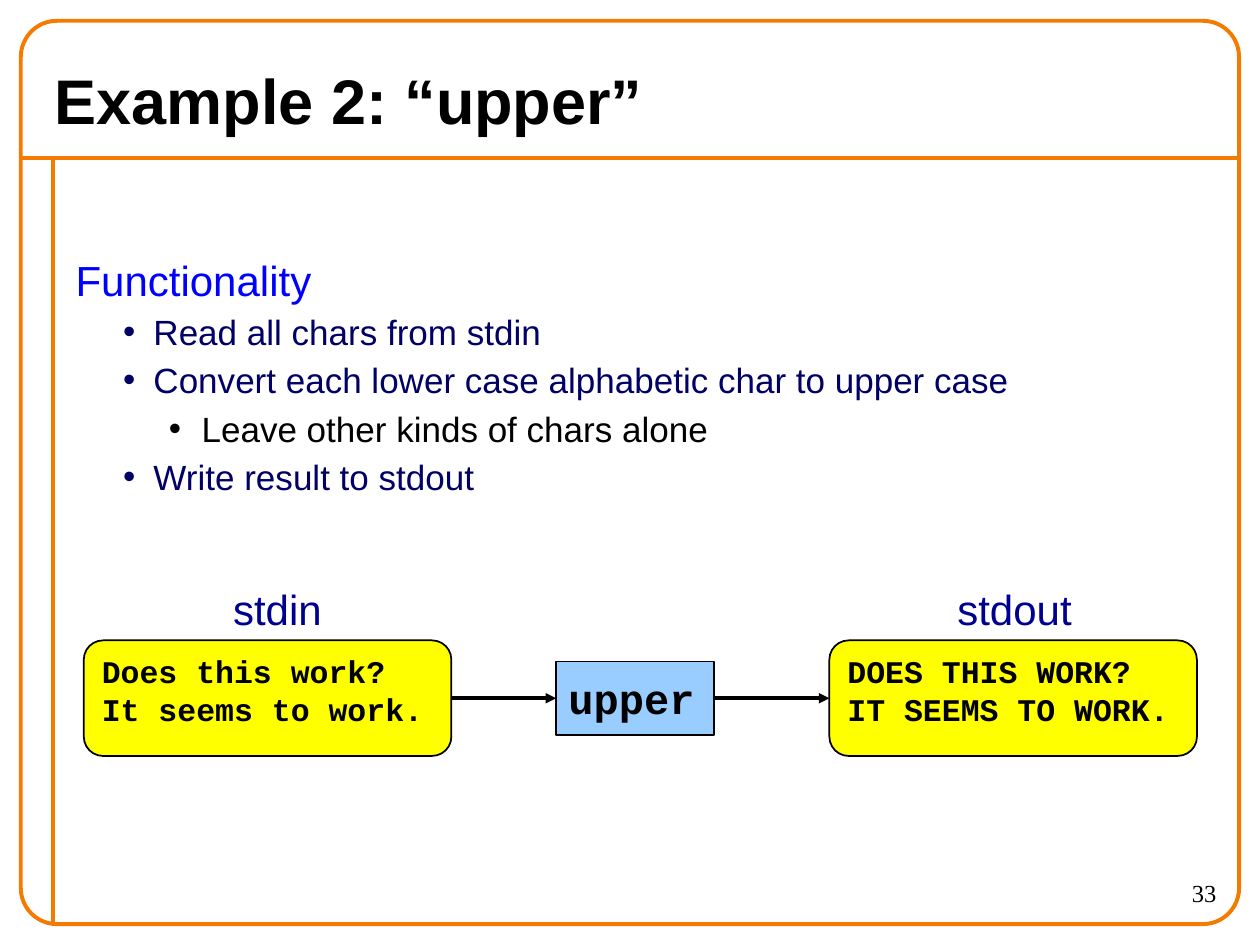
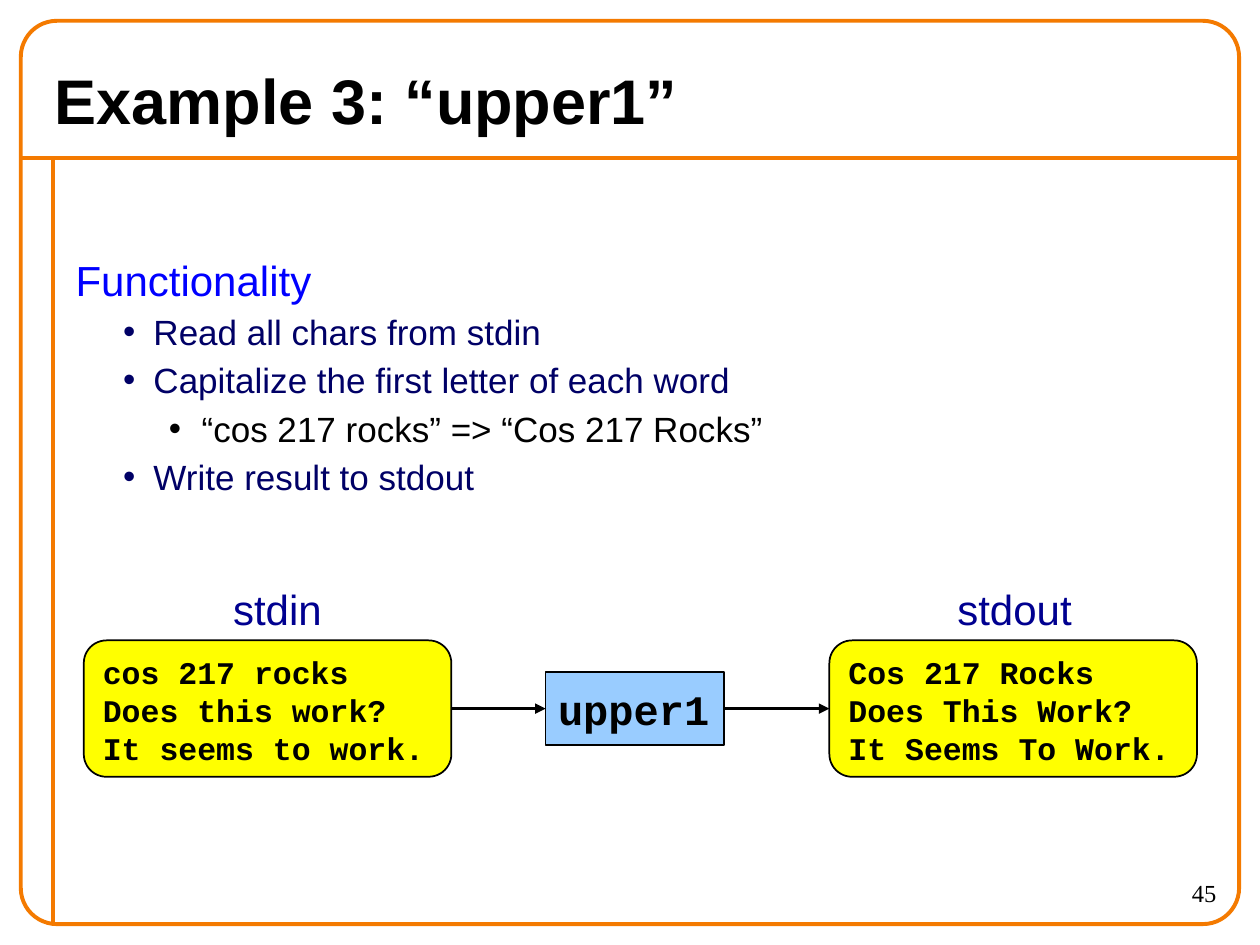
from lxml import etree
from pptx import Presentation
from pptx.dml.color import RGBColor
from pptx.enum.shapes import MSO_CONNECTOR, MSO_SHAPE
from pptx.enum.text import MSO_ANCHOR, MSO_AUTO_SIZE, PP_ALIGN
from pptx.oxml.ns import qn
from pptx.util import Cm, Pt

STRAIGHT = MSO_CONNECTOR.STRAIGHT
RECTANGLE, ROUNDED = MSO_SHAPE.RECTANGLE, MSO_SHAPE.ROUNDED_RECTANGLE
LEFT, RIGHT = PP_ALIGN.LEFT, PP_ALIGN.RIGHT
TOP, MIDDLE = MSO_ANCHOR.TOP, MSO_ANCHOR.MIDDLE
LEFT_SIDE, RIGHT_SIDE = 1, 3

ORANGE, BLACK, YELLOW, SKY = "F47A00", "000000", "FFFF00", "99CCFF"
BLUE, NAVY, LABEL_BLUE = "0000FF", "000066", "000090"
SANS, MONO, SERIF = "Arial", "Courier New", "Times New Roman"

# Per list level: size, colour, left margin, hanging indent, space before
LEVELS = [
    (24, BLUE, 0.61, 0.61, 0),
    (20, NAVY, 1.57, 0.61, 3.5),
    (20, BLACK, 2.54, 0.66, 3.5),
]

# Stream label, box left, label left, label width
STREAMS = [("stdin", 1.69, 4.45, 2.54), ("stdout", 16.72, 19.05, 2.96)]
STREAM_TOP, STREAM_WIDTH = 12.91, 7.41
PROGRAM_CENTRE, PROGRAM_HEIGHT = 12.8, 1.48

EXAMPLES = [
    {
        "title": "Example 2: “upper”",
        "number": "33",
        "steps": [
            (0, "Functionality"),
            (1, "Read all chars from stdin"),
            (1, "Convert each lower case alphabetic char to upper case"),
            (2, "Leave other kinds of chars alone"),
            (1, "Write result to stdout"),
        ],
        "program": ("upper", 3.18),
        "stream_height": 2.33,
        "streams": [
            "Does this work?\nIt seems to work.",
            "DOES THIS WORK?\nIT SEEMS TO WORK.",
        ],
    },
    {
        "title": "Example 3: “upper1”",
        "number": "45",
        "steps": [
            (0, "Functionality"),
            (1, "Read all chars from stdin"),
            (1, "Capitalize the first letter of each word"),
            (2, "“cos 217 rocks” => “Cos 217 Rocks”"),
            (1, "Write result to stdout"),
        ],
        "program": ("upper1", 3.6),
        "stream_height": 2.75,
        "streams": [
            "cos 217 rocks\nDoes this work?\nIt seems to work.",
            "Cos 217 Rocks\nDoes This Work?\nIt Seems To Work.",
        ],
    },
]


def format_text(paragraphs, size, colour, font=SANS, bold=False, align=LEFT):
    for paragraph in paragraphs:
        paragraph.alignment = align
        for run in paragraph.runs:
            run.font.name = font
            run.font.size = Pt(size)
            run.font.bold = bold
            run.font.color.rgb = RGBColor.from_string(colour)


def outline(item, colour, width, fill=None):
    """Set the line and optional fill of a shape or connector, without shadow."""
    item.line.color.rgb = RGBColor.from_string(colour)
    item.line.width = Pt(width)
    if fill:
        item.fill.solid()
        item.fill.fore_color.rgb = RGBColor.from_string(fill)
    etree.SubElement(item.element.spPr, qn("a:effectLst"))


deck = Presentation()
deck.slide_width, deck.slide_height = Cm(25.4), Cm(19.05)

# Shared layout: placeholder places and the orange frame
layout = deck.slide_layouts[1]
places = [(0.85, 1.06, 23.71, 1.9), (1.27, 5, 23.5, 13.6)]
for index, place in enumerate(places):
    holder = layout.placeholders[index]
    holder.left, holder.top, holder.width, holder.height = map(Cm, place)

slides = [deck.slides.add_slide(layout) for example in EXAMPLES]

pen = slides[0].shapes
header_rule = pen.add_connector(STRAIGHT, Cm(0.42), Cm(3.18), Cm(24.98), Cm(3.18))
margin_rule = pen.add_connector(STRAIGHT, Cm(1.06), Cm(3.18), Cm(1.06), Cm(18.63))
frame = pen.add_shape(ROUNDED, Cm(0.42), Cm(0.42), Cm(24.56), Cm(18.21))
frame.adjustments[0] = 0.04
frame.fill.background()
for offset, border in enumerate([header_rule, margin_rule, frame]):
    outline(border, ORANGE, 2.25)
    border.element.xpath(".//p:cNvPr")[0].set("id", str(101 + offset))
    layout.shapes.element.insert(2 + offset, border.element)

for slide, example in zip(slides, EXAMPLES):
    shapes = slide.shapes

    title = shapes.title.text_frame
    title.text = example["title"]
    title.vertical_anchor = MIDDLE
    format_text(title.paragraphs, 36, BLACK, bold=True)

    functionality = slide.placeholders[1].text_frame
    functionality.text = "\n".join(step for level, step in example["steps"])
    functionality.auto_size = MSO_AUTO_SIZE.NONE
    for paragraph, (level, step) in zip(functionality.paragraphs, example["steps"]):
        size, colour, margin, hanging, space = LEVELS[level]
        paragraph.level = level
        properties = paragraph._p.get_or_add_pPr()
        properties.set("marL", str(Cm(margin)))
        properties.set("indent", str(-Cm(hanging)))
        if level:
            etree.SubElement(properties, qn("a:buChar"), char="•")
        else:
            etree.SubElement(properties, qn("a:buNone"))
        paragraph.space_before = Pt(space)
        format_text([paragraph], size, colour)

    number = shapes.add_textbox(Cm(22.23), Cm(17.57), Cm(2.54), Cm(1.06)).text_frame
    number.word_wrap = True
    number.text = example["number"]
    format_text(number.paragraphs, 14, BLACK, SERIF, align=RIGHT)

    # Data flow: stdin, program, stdout
    height = example["stream_height"]
    name, width = example["program"]
    program = shapes.add_shape(
        RECTANGLE,
        Cm(PROGRAM_CENTRE - width / 2),
        Cm(STREAM_TOP + (height - PROGRAM_HEIGHT) / 2),
        Cm(width),
        Cm(PROGRAM_HEIGHT),
    )
    outline(program, BLACK, 1, SKY)
    program.text_frame.text = name
    program.text_frame.vertical_anchor = MIDDLE
    format_text(program.text_frame.paragraphs, 24, BLACK, MONO, True)

    flow = []
    for (label, left, label_left, label_width), data in zip(STREAMS, example["streams"]):
        stream = shapes.add_shape(
            ROUNDED, Cm(left), Cm(STREAM_TOP), Cm(STREAM_WIDTH), Cm(height)
        )
        outline(stream, BLACK, 1, YELLOW)
        stream.text_frame.text = data
        stream.text_frame.vertical_anchor = TOP
        format_text(stream.text_frame.paragraphs, 18, BLACK, MONO, True)
        flow.append(stream)

        caption = shapes.add_textbox(
            Cm(label_left), Cm(11.64), Cm(label_width), Cm(1.27)
        ).text_frame
        caption.word_wrap = True
        caption.text = label
        format_text(caption.paragraphs, 24, LABEL_BLUE)

    stdin, stdout = flow
    for source, target in [(stdin, program), (program, stdout)]:
        arrow = shapes.add_connector(STRAIGHT, 0, 0, 0, 0)
        arrow.begin_connect(source, RIGHT_SIDE)
        arrow.end_connect(target, LEFT_SIDE)
        outline(arrow, BLACK, 2)
        line = arrow.element.spPr.find(qn("a:ln"))
        etree.SubElement(line, qn("a:tailEnd"), type="triangle")

deck.save("out.pptx")
